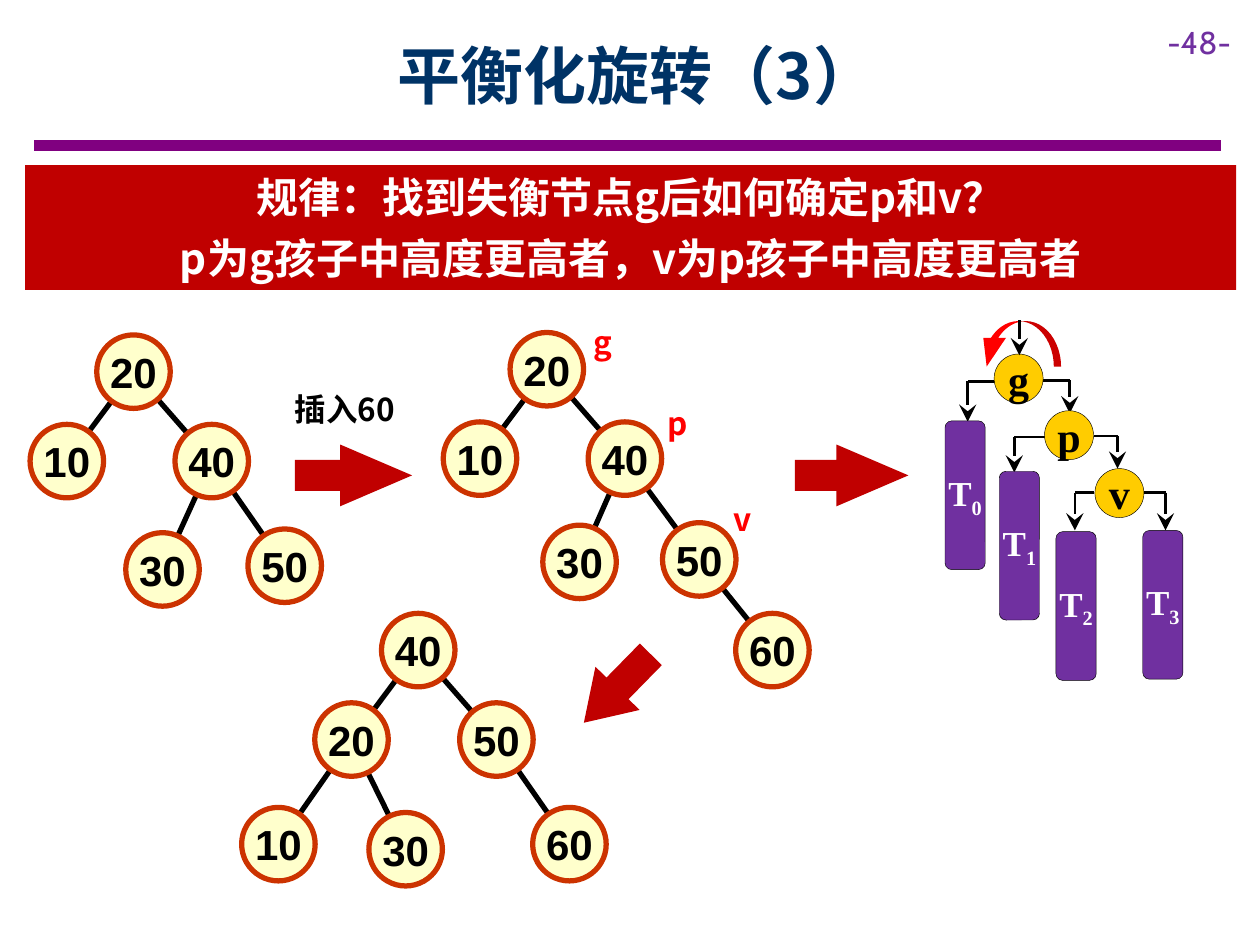
"""Builds a slide on rebalancing a search tree by rotation."""
from lxml import etree
from pptx import Presentation
from pptx.dml.color import RGBColor
from pptx.enum.shapes import MSO_CONNECTOR, MSO_SHAPE
from pptx.enum.text import MSO_ANCHOR, PP_ALIGN
from pptx.oxml.ns import qn
from pptx.util import Pt

LINE = MSO_CONNECTOR.STRAIGHT
RECT, ROUND, OVAL = MSO_SHAPE.RECTANGLE, MSO_SHAPE.ROUNDED_RECTANGLE, MSO_SHAPE.OVAL
ARROW, CURVE = MSO_SHAPE.RIGHT_ARROW, MSO_SHAPE.CURVED_LEFT_ARROW
TOP, MIDDLE = MSO_ANCHOR.TOP, MSO_ANCHOR.MIDDLE
LEFT, CENTER = PP_ALIGN.LEFT, PP_ALIGN.CENTER

BLACK, WHITE = RGBColor(0, 0, 0), RGBColor(255, 255, 255)
NAVY, PLUM = RGBColor(0, 0x33, 0x66), RGBColor(0x80, 0, 0x80)
VIOLET, GOLD = RGBColor(0x70, 0x30, 0xA0), RGBColor(0xFF, 0xCC, 0)
CRIMSON, RED = RGBColor(0xC0, 0, 0), RGBColor(0xFF, 0, 0)
CREAM, RUST = RGBColor(0xFF, 0xFF, 0xCC), RGBColor(0xCC, 0x33, 0)
HAN, SANS, SERIF, PAGE = "Noto Sans CJK SC", "Arial", "Times New Roman", "Cabin"
NODE, DISC = 42, 28

TREES = [
    [("20", 76.3, 212.4, None), ("40", 121, 263.5, "20"), ("30", 92.9, 325.4, "40"),
     ("50", 162.7, 323.3, "40"), ("10", 38.2, 263.5, "20")],
    [("20", 312.5, 211, None), ("40", 357.1, 262.1, "20"), ("30", 331.2, 321.1, "40"),
     ("50", 399.6, 319.7, "40"), ("10", 274.3, 262.1, "20"), ("60", 441.4, 371.5, "50")],
    [("40", 239, 371.5, None), ("50", 283.7, 422.6, "40"), ("60", 325.4, 482.4, "50"),
     ("20", 200.9, 422.6, "40"), ("10", 159.1, 482.4, "20"), ("30", 231.8, 485.3, "20")],
]
TAGS = [("g", 332, 180.7), ("p", 374.4, 226.8), ("v", 411.8, 281.5)]
BENDS = [(570, 553, 218, 241), (594, 611.3, 217.4, 236.2), (600, 579.6, 249.8, 270),
         (625, 638.6, 249.1, 267.8), (625, 614.2, 281.5, 303.1), (653, 666, 281.5, 303.1)]
DISCS = [("g", 568.1, 202.3), ("p", 596.9, 234.7), ("v", 625.7, 267.8)]
BARS = [("0", 540, 240.5), ("1", 571, 269.3), ("2", 603.4, 303.8), ("3", 653, 303.1)]


class Board:
    """Holds the style and the current slide."""

    def __init__(self, slide):
        self.slide = slide
        self.shapes = slide.shapes

    def style(self, frame, size, color, font=HAN, bold=True, align=CENTER):
        for para in frame.paragraphs:
            para.alignment = align
            for run in para.runs:
                run.font.size, run.font.bold, run.font.name = Pt(size), bold, font
                run.font.color.rgb = color
                east = etree.SubElement(run.font._element, qn("a:ea"))
                east.set("typeface", font)

    def title(self, text, left, top, width, height):
        box = self.shapes.title
        box.left, box.top, box.width, box.height = map(Pt, (left, top, width, height))
        box.text_frame.text = text
        box.text_frame.vertical_anchor = MIDDLE
        self.style(box.text_frame, 36, NAVY)

    def label(self, text, left, top, width, color, font=HAN, bold=True):
        box = self.shapes.add_textbox(Pt(left), Pt(top), Pt(width), Pt(29))
        frame = box.text_frame
        frame.text = text
        frame.word_wrap = True
        frame.paragraphs[0].line_spacing = Pt(22)
        self.style(frame, 18, color, font, bold, LEFT)

    def shape(self, kind, left, top, width, height, fill, edge=None, weight=0.25):
        item = self.shapes.add_shape(kind, Pt(left), Pt(top), Pt(width), Pt(height))
        item.shadow.inherit = False
        item.fill.solid()
        item.fill.fore_color.rgb = fill
        if edge is None:
            item.line.fill.background()
        else:
            item.line.color.rgb = edge
            item.line.width = Pt(weight)
        return item

    def banner(self, lines, left, top, width, height):
        frame = self.shape(RECT, left, top, width, height, CRIMSON).text_frame
        frame.text = "\n".join(lines)
        frame.vertical_anchor = TOP
        for para in frame.paragraphs:
            para.line_spacing, para.space_after = Pt(29), Pt(6)
        self.style(frame, 24, WHITE)

    def arrow(self, left, top, width, height, neck, turn=0):
        item = self.shape(ARROW, left, top, width, height, CRIMSON)
        item.adjustments[1] = neck
        item.rotation = turn

    def curve(self, left, top, width, height):
        item = self.shape(CURVE, left, top, width, height, RED)
        for index, value in enumerate((0.16, 0.5, 0.633)):
            item.adjustments[index] = value
        item.rotation = 270
        item._element.spPr.find(qn("a:xfrm")).set("flipV", "1")

    def line(self, start, end, weight, color=BLACK, head=False):
        link = self.shapes.add_connector(LINE, *map(Pt, (*start, *end)))
        link.line.color.rgb = color
        link.line.width = Pt(weight)
        if head:
            tip = etree.SubElement(link.line._get_or_add_ln(), qn("a:tailEnd"))
            for key, value in (("type", "stealth"), ("w", "lg"), ("len", "lg")):
                tip.set(key, value)
        etree.SubElement(link._element.spPr, qn("a:effectLst"))

    def bend(self, start, end, top, foot):
        self.line((start, top), (end, top), 1.5)
        self.line((end, top), (end, foot), 1.5, head=True)

    def inset(self, frame, side, edge):
        frame.margin_left = frame.margin_right = Pt(side)
        frame.margin_top = frame.margin_bottom = Pt(edge)
        frame.vertical_anchor = MIDDLE

    def tree(self, nodes):
        spots = {name: (x, y) for name, x, y, _ in nodes}
        for name, x, y, root in nodes:
            if root:
                self.line(spots[root], (x, y), 3)
        for name, x, y, _ in nodes:
            half = NODE / 2
            frame = self.shape(OVAL, x - half, y - half, NODE, NODE, CREAM, RUST, 3).text_frame
            frame.text = name
            frame.word_wrap = False
            self.inset(frame, 0, 0)
            self.style(frame, 24, BLACK, SANS)

    def disc(self, text, left, top):
        item = self.shape(ROUND, left, top, DISC, DISC, GOLD, BLACK)
        item.adjustments[0] = 0.5
        frame = item.text_frame
        frame.text = text
        self.inset(frame, 0, 7.2)
        self.style(frame, 24, BLACK, SERIF)

    def bar(self, index, left, top):
        frame = self.shape(ROUND, left, top, 23, 85, VIOLET, BLACK).text_frame
        frame.text = "T"
        run = frame.paragraphs[0].add_run()
        run.text = index
        self.inset(frame, 0, 7.2)
        self.style(frame, 20, WHITE, SERIF)
        run.font._element.set("baseline", "-25000")


def main():
    deck = Presentation()
    deck.slide_width, deck.slide_height = Pt(720), Pt(540)
    board = Board(deck.slides.add_slide(deck.slide_layouts[5]))
    board.line((19.5, 83), (697.5, 83), 6, PLUM)
    board.label("-48-", 660, 9.4, 60, VIOLET, PAGE, False)
    board.title("平衡化旋转（3）", 65, 6.5, 598, 72)
    board.banner(["规律：找到失衡节点g后如何确定p和v？",
                  "p为g孩子中高度更高者，v为p孩子中高度更高者"], 14.4, 94.3, 692, 71.3)
    for nodes in TREES:
        board.tree(nodes)
    board.arrow(168.5, 254, 67, 35.3, 1.164)
    board.arrow(454.3, 254, 64.8, 35.3, 1.164)
    board.arrow(325.4, 375.8, 54.7, 35.3, 0.779, 134.4)
    board.label("插入60", 161.3, 218.9, 72, BLACK)
    for text, left, top in TAGS:
        board.label(text, left, top, 27, RED)
    for points in BENDS:
        board.bend(*points)
    for item in DISCS:
        board.disc(*item)
    for item in BARS:
        board.bar(*item)
    board.curve(568.8, 172, 26, 49)
    board.line((582.5, 183), (582.5, 203), 1.5, head=True)
    deck.save("out.pptx")


if __name__ == "__main__":
    main()
